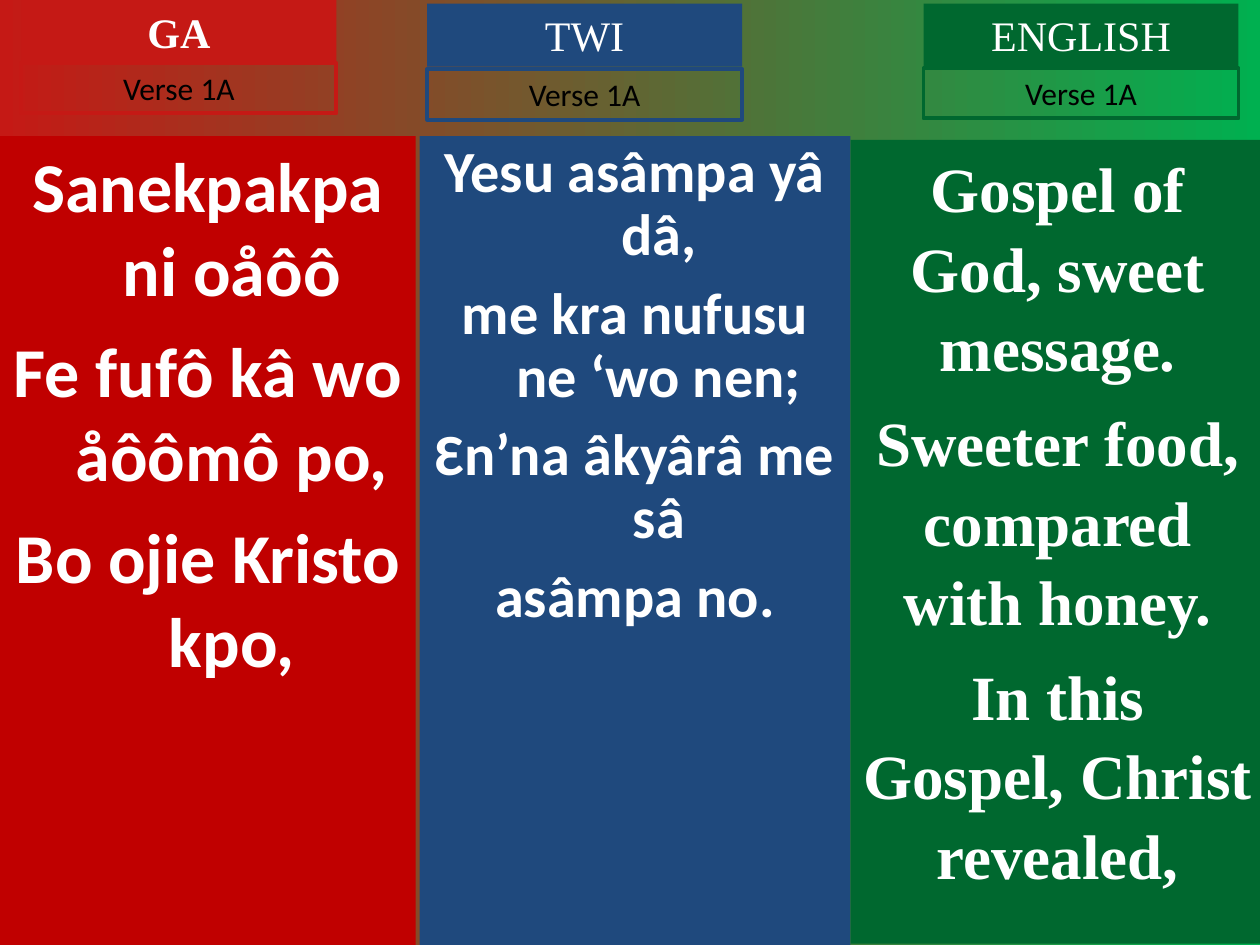
import pptx
import pptx.util
import pptx.dml.color
import pptx.enum.shapes
import pptx.enum.text

COLS, ROWS = 100, 75
COLORS = {"red": "C00000", "bright_red": "C51915", "blue": "1F497D", "green": "00682F",
          "light_green": "00B050", "white": "FFFFFF", "black": "000000"}
SERIF, SANS = "Times New Roman", "Calibri"
TITLE_ROWS, LABEL_ROWS, HEADER_COLS = 5, 4, 25

LANGUAGES = [
    dict(title="GA", bold=True, color="bright_red", header=(1.7, 0), label_top=5,
         body=(0, 10.8, 33, 64.2), body_color="red",
         lines=["Sanekpakpa ni oåôô", "Fe fufô kâ wo åôômô po,", "Bo ojie Kristo kpo,"],
         style=dict(size=40, before=10, hanging=3.8)),
    dict(title="TWI", bold=False, color="blue", header=(33.9, 0.3), label_top=5.5,
         body=(33.3, 10.8, 34.2, 64.2), body_color="blue",
         lines=["Yesu asâmpa yâ dâ,", "me kra nufusu ne ‘wo nen;", "Ɛn’na âkyârâ me sâ", "asâmpa no."],
         style=dict(size=33.3, before=9, hanging=3.8, spacing=0.9)),
    dict(title="ENGLISH", bold=False, color="green", header=(73.3, 0.3), label_top=5.4,
         body=(67.5, 11.1, 32.9, 63.8), body_color="green",
         lines=["Gospel of God, sweet message.", "Sweeter food, compared with honey.",
                "In this Gospel, Christ revealed,"],
         style=dict(size=36, before=9, font=SERIF, spacing=1.05)),
]

prs = pptx.Presentation()
prs.slide_width = pptx.util.Inches(10)
prs.slide_height = pptx.util.Inches(7.5)


def across(n):
    return round(prs.slide_width * n / COLS)


def down(n):
    return round(prs.slide_height * n / ROWS)


def rgb(name):
    return pptx.dml.color.RGBColor.from_string(COLORS[name])


def add_box(s, box, fill=None, line=None):
    x, y, w, h = box
    sp = s.shapes.add_shape(pptx.enum.shapes.MSO_SHAPE.RECTANGLE,
                            across(x), down(y), across(w), down(h))
    sp.shadow.inherit = False
    if fill:
        sp.fill.solid()
        sp.fill.fore_color.rgb = rgb(fill)
    else:
        sp.fill.background()
    if line:
        sp.line.color.rgb = rgb(line)
        sp.line.width = pptx.util.Pt(2.25)
    else:
        sp.line.fill.background()
    return sp


def add_text(sp, lines, size=18, font=SANS, color="white", bold=False,
             before=0, hanging=0, spacing=None):
    tf = sp.text_frame
    tf.word_wrap = True
    tf.vertical_anchor = pptx.enum.text.MSO_ANCHOR.TOP
    for i, line in enumerate(lines):
        p = tf.add_paragraph() if i else tf.paragraphs[0]
        p.alignment = pptx.enum.text.PP_ALIGN.CENTER
        if spacing:
            p.line_spacing = spacing
        if i and before:
            p.space_before = pptx.util.Pt(before)
        if hanging:
            pPr = p._p.get_or_add_pPr()
            pPr.set("marL", str(across(hanging)))
            pPr.set("indent", str(-across(hanging)))
        r = p.add_run()
        r.text = line
        r.font.name = font
        r.font.size = pptx.util.Pt(size)
        r.font.bold = bold
        r.font.color.rgb = rgb(color)


def add_background(s):
    fill = s.background.fill
    fill.gradient()
    fill.gradient_angle = 0
    for stop, name, position in zip(fill.gradient_stops, ("bright_red", "light_green"), (0, 1)):
        stop.color.rgb = rgb(name)
        stop.position = position


def add_header(s, origin, label_top, title, bold, color):
    x, y = origin
    sp = add_box(s, (x, y, HEADER_COLS, TITLE_ROWS), fill=color)
    add_text(sp, [title], size=24, font=SERIF, bold=bold)
    sp = add_box(s, (x, label_top, HEADER_COLS, LABEL_ROWS), line=color)
    add_text(sp, ["Verse 1A"], color="black")


def add_verse(s, box, color, lines, style):
    add_text(add_box(s, box, fill=color), lines, bold=True, **style)


def main():
    s = prs.slides.add_slide(prs.slide_layouts[6])
    add_background(s)
    for lang in LANGUAGES:
        add_verse(s, lang["body"], lang["body_color"], lang["lines"], lang["style"])
        add_header(s, lang["header"], lang["label_top"], lang["title"], lang["bold"], lang["color"])
    prs.save("out.pptx")


if __name__ == "__main__":
    main()
